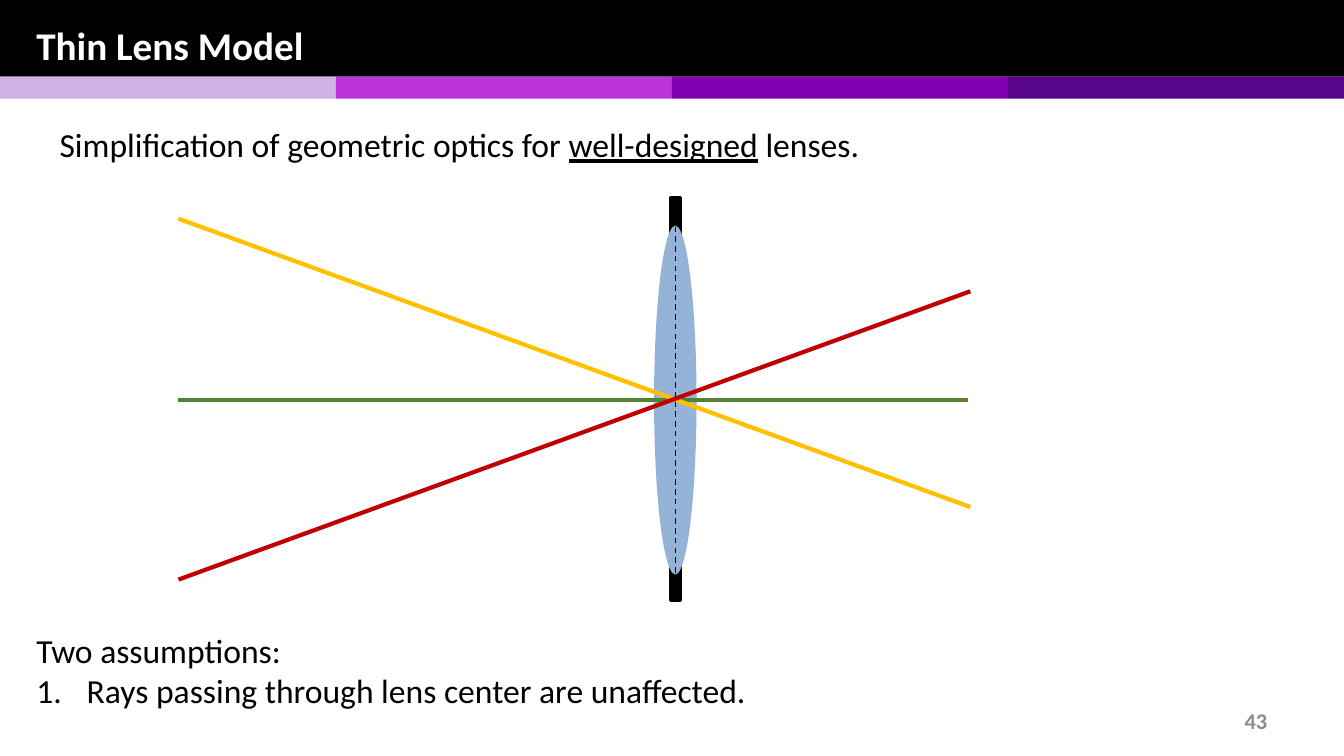
"""Build the thin lens model slide, with lengths in percent of the slide."""
from dataclasses import dataclass

from lxml.etree import SubElement as Sub
from pptx import Presentation
from pptx.dml.color import RGBColor as Rgb
from pptx.enum.dml import MSO_LINE as Dash
from pptx.enum.shapes import MSO_CONNECTOR as Conn, MSO_SHAPE as Kind
from pptx.enum.text import MSO_ANCHOR as Anchor, MSO_AUTO_SIZE as Fit, PP_ALIGN as Align
from pptx.oxml.ns import qn
from pptx.util import Inches, Pt

WIDE, HIGH = Inches(13.333), Inches(7.5)


@dataclass(frozen=True)
class Theme:
    """Colours and type sizes of the slide."""
    font: str = "Calibri"
    black: str = "000000"
    white: str = "FFFFFF"
    grey: str = "8C8C8C"
    glass: str = "95B3D7"
    strips: tuple = ("CFB3E6", "BD33DA", "8000B3", "57058A")
    green: str = "548235"
    gold: str = "FFC000"
    red: str = "C00000"
    head: int = 28
    body: int = 24
    page: int = 16


LOOK = Theme()


def across(share):
    """Turn a percent of the width into a length."""
    return int(WIDE * share / 100)


def down(share):
    """Turn a percent of the height into a length."""
    return int(HIGH * share / 100)


def area(left, top, width, height):
    """Turn four percents into a position and a size."""
    return across(left), down(top), across(width), down(height)


def block(slide, kind, place, fill, edge=None):
    """Draw a filled shape, with an outline if an edge width is given."""
    shape = slide.shapes.add_shape(kind, *area(*place))
    shape.shadow.inherit = False
    shape.fill.solid()
    shape.fill.fore_color.rgb = Rgb.from_string(fill)
    if edge:
        shape.line.color.rgb = Rgb.from_string(fill)
        shape.line.width = Pt(edge)
    else:
        shape.line.fill.background()
    return shape


def ray(slide, start, end, color, width=3):
    """Draw a straight line between two points."""
    line = slide.shapes.add_connector(
        Conn.STRAIGHT, across(start[0]), down(start[1]), across(end[0]), down(end[1]))
    line.line.color.rgb = Rgb.from_string(color)
    line.line.width = Pt(width)
    Sub(line._element.spPr, qn("a:effectLst"))
    return line


def frame(shape, place, inset=0.1, anchor=Anchor.MIDDLE):
    """Place a text shape and return its set-up text frame."""
    shape.left, shape.top, shape.width, shape.height = area(*place)
    text = shape.text_frame
    text.word_wrap = True
    text.auto_size = Fit.NONE
    text.vertical_anchor = anchor
    text.margin_left = text.margin_right = Inches(inset)
    text.margin_top = text.margin_bottom = Inches(0.04)
    return text


def write(para, runs, size, color=LOOK.black, bold=False, align=Align.LEFT):
    """Fill a paragraph with (text, underline) runs."""
    para.alignment = align
    para.space_before = Pt(0)
    for words, under in runs:
        run = para.add_run()
        run.text = words
        font = run.font
        font.name, font.size, font.bold = LOOK.font, Pt(size), bold
        font.underline = under
        font.color.rgb = Rgb.from_string(color)


def mark(para, number=False):
    """Give a paragraph a number with a hanging indent, or no bullet."""
    props = para._p.get_or_add_pPr()
    hang = Inches(0.5) if number else 0
    props.set("marL", str(hang))
    props.set("indent", str(-hang))
    if number:
        Sub(props, qn("a:buFont"), typeface="+mj-lt")
        Sub(props, qn("a:buAutoNum"), type="arabicPeriod")
    else:
        Sub(props, qn("a:buNone"))


def banner(slide):
    """Draw the black band, its strips and the title."""
    block(slide, Kind.RECTANGLE, (0, 0, 100, 10.13), LOOK.black)
    step = 100 / len(LOOK.strips)
    for col, fill in enumerate(LOOK.strips):
        block(slide, Kind.RECTANGLE, (col * step, 10.13, step, 2.93), fill)
    title = slide.shapes.title
    slide.shapes._spTree.append(title._element)
    text = frame(title, (1.95, 0.13, 95.9, 11.47))
    write(text.paragraphs[0], [("Thin Lens Model", False)], LOOK.head, LOOK.white, True)


def label(slide, place, runs, size, inset=0.1, **style):
    """Add a text box of one paragraph."""
    box = slide.shapes.add_textbox(*area(*place))
    write(frame(box, place, inset).paragraphs[0], runs, size, **style)


def points(slide):
    """Fill the body with the lead line and the numbered assumption."""
    text = frame(slide.placeholders[1], (2.4, 82.8, 73.7, 17.2), 0.04, Anchor.TOP)
    lead, item = text.paragraphs[0], text.add_paragraph()
    mark(lead)
    write(lead, [("Two assumptions:", False)], LOOK.body)
    mark(item, True)
    write(item, [("Rays passing through lens center are unaffected.", False)], LOOK.body)


def optics(slide):
    """Draw the stop, the lens, its axis and the three rays."""
    mid, axis = 50.25, 52.93
    left, right = 13.28, 72.2
    stop = block(slide, Kind.RECTANGLE, (mid - 0.38, 26.13, 0.76, 53.33), LOOK.black, 2)
    block(slide, Kind.OVAL, (mid - 1.58, axis - 23.07, 3.16, 46.14), LOOK.glass)
    ray(slide, (left, axis), (72, axis), LOOK.green)
    plane = ray(slide, (mid, 26.13), (mid, 79.46), LOOK.black, 1)
    plane.line.dash_style = Dash.DASH
    plane.begin_connect(stop, 0)
    plane.end_connect(stop, 2)
    ray(slide, (left, 28.93), (right, 67.07), LOOK.gold)
    ray(slide, (right, 38.53), (left, 76.67), LOOK.red)


def main():
    """Build and save the slide."""
    deck = Presentation()
    deck.slide_width, deck.slide_height = WIDE, HIGH
    slide = deck.slides.add_slide(deck.slide_layouts[1])
    banner(slide)
    label(slide, (71.7, 92.67, 23.33, 5.33), [("43", False)], LOOK.page,
          color=LOOK.grey, bold=True, align=Align.RIGHT)
    label(slide, (4.13, 15.87, 64.6, 6.4),
          [("Simplification of geometric optics for ", False),
           ("well-designed", True), (" lenses.", False)], LOOK.body, 0.04)
    points(slide)
    optics(slide)
    deck.save("out.pptx")


if __name__ == "__main__":
    main()
